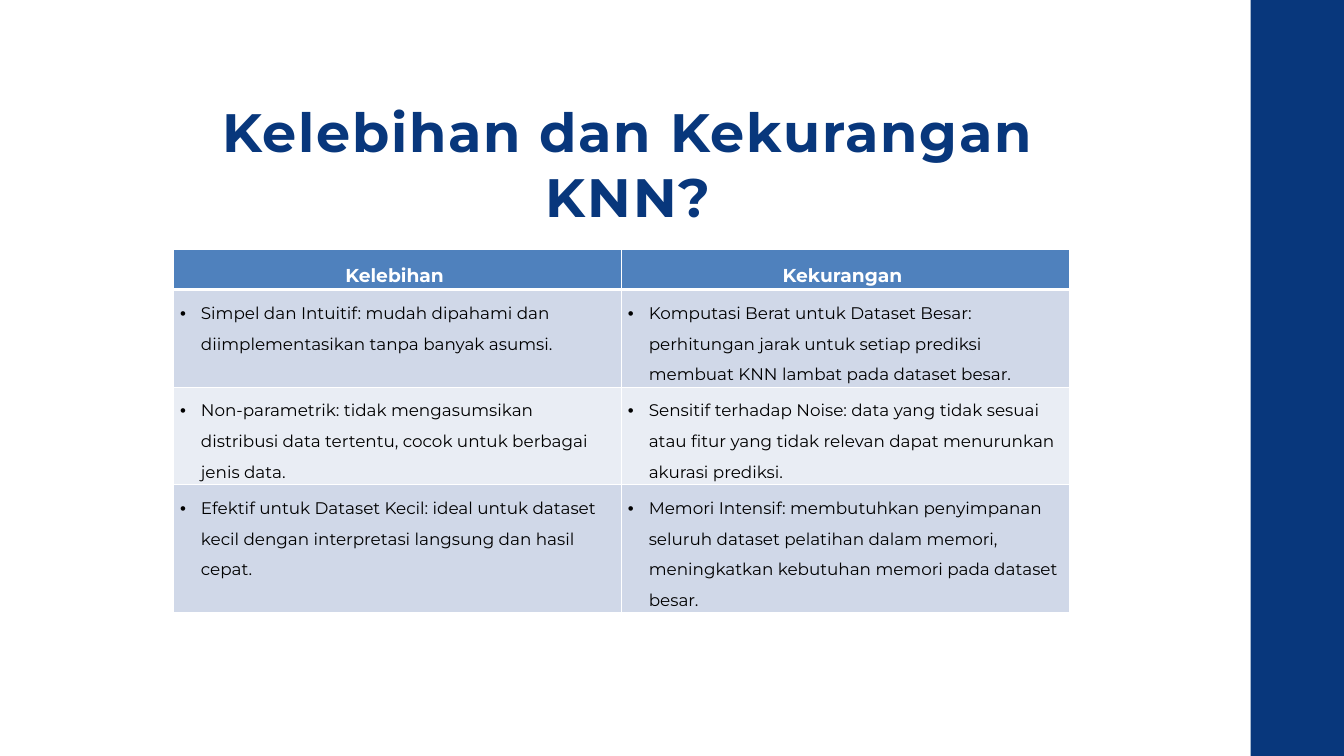
from dataclasses import dataclass

from lxml.etree import SubElement
from pptx import Presentation
from pptx.dml.color import RGBColor
from pptx.enum.shapes import MSO_SHAPE
from pptx.enum.text import MSO_ANCHOR, MSO_AUTO_SIZE, PP_ALIGN
from pptx.oxml.ns import qn
from pptx.slide import Slide
from pptx.table import _Cell
from pptx.util import Inches, Pt

FONT = "Montserrat"
COLORS = {
    "navy": "08377C",
    "blue": "4F81BD",
    "dark": "D0D8E8",
    "light": "E9EDF4",
    "white": "FFFFFF",
    "black": "000000",
}


@dataclass
class Row:
    pros: str
    cons: str
    fill: str
    height: float
    head: bool = False


ROWS = [
    Row("Kelebihan ", "Kekurangan ", "blue", 0.59, True),
    Row(
        "Simpel dan Intuitif: mudah dipahami dan diimplementasikan tanpa banyak asumsi.",
        "Komputasi Berat untuk Dataset Besar: perhitungan jarak untuk setiap prediksi "
        "membuat KNN lambat pada dataset besar.",
        "dark", 1.44,
    ),
    Row(
        "Non-parametrik: tidak mengasumsikan distribusi data tertentu, "
        "cocok untuk berbagai jenis data.",
        "Sensitif terhadap Noise: data yang tidak sesuai atau fitur yang tidak relevan "
        "dapat menurunkan akurasi prediksi.",
        "light", 1.44,
    ),
    Row(
        "Efektif untuk Dataset Kecil: ideal untuk dataset kecil dengan interpretasi "
        "langsung dan hasil cepat.",
        "Memori Intensif: membutuhkan penyimpanan seluruh dataset pelatihan dalam memori, "
        "meningkatkan kebutuhan memori pada dataset besar.",
        "dark", 1.89,
    ),
]


def color(name: str) -> RGBColor:
    return RGBColor.from_string(COLORS[name])


def add_bar(slide: Slide) -> None:
    bar = slide.shapes.add_shape(
        MSO_SHAPE.RECTANGLE, Inches(18.61), 0, Inches(1.39), Inches(11.25)
    )
    bar.shadow.inherit = False
    bar.fill.solid()
    bar.fill.fore_color.rgb = color("navy")
    bar.line.fill.background()


def set_title(slide: Slide) -> None:
    title = slide.shapes.title
    title.left, title.top = Inches(3.08), Inches(1.46)
    title.width, title.height = Inches(12.54), Inches(1.96)
    frame = title.text_frame
    frame.margin_left = frame.margin_right = 0
    frame.margin_top = frame.margin_bottom = 0
    frame.vertical_anchor = MSO_ANCHOR.TOP
    frame.word_wrap = True
    frame.auto_size = MSO_AUTO_SIZE.SHAPE_TO_FIT_TEXT
    frame.text = "Kelebihan dan Kekurangan KNN?"
    para = frame.paragraphs[0]
    para.alignment = PP_ALIGN.CENTER
    para.line_spacing = Pt(69.5)
    para.space_before = Pt(0)
    font = para.font
    font.name, font.size, font.bold = FONT, Pt(57.9), True
    font.color.rgb = color("navy")
    para.runs[0]._r.get_or_add_rPr().set("spc", "190")


def add_edges(cell: _Cell, head: bool) -> None:
    props = cell._tc.get_or_add_tcPr()
    for side in "LRTB":
        width = 3 if head and side == "B" else 1
        edge = SubElement(props, qn(f"a:ln{side}"), w=str(Pt(width)))
        fill = SubElement(edge, qn("a:solidFill"))
        SubElement(fill, qn("a:srgbClr"), val=COLORS["white"])


def fill_cell(cell: _Cell, text: str, row: Row) -> None:
    add_edges(cell, row.head)
    cell.fill.solid()
    cell.fill.fore_color.rgb = color(row.fill)
    cell.text = text
    para = cell.text_frame.paragraphs[0]
    para.line_spacing = 1.5
    if row.head:
        para.alignment = PP_ALIGN.CENTER
    else:
        props = para._p.get_or_add_pPr()
        props.set("marL", str(Inches(0.31)))
        props.set("indent", str(Inches(-0.31)))
        SubElement(props, qn("a:buFont"), typeface="Arial")
        SubElement(props, qn("a:buChar"), char="•")
    font = para.font
    font.name, font.size = FONT, Pt(20 if row.head else 18)
    font.bold = row.head
    font.color.rgb = color("white" if row.head else "black")


def add_grid(slide: Slide) -> None:
    height = sum(row.height for row in ROWS)
    table = slide.shapes.add_table(
        len(ROWS), 2, Inches(2.58), Inches(3.71), Inches(13.33), Inches(height)
    ).table
    for line, row in zip(table.rows, ROWS):
        line.height = Inches(row.height)
        for cell, text in zip(line.cells, (row.pros, row.cons)):
            fill_cell(cell, text, row)


def main() -> None:
    deck = Presentation()
    deck.slide_width, deck.slide_height = Inches(20), Inches(11.25)
    slide = deck.slides.add_slide(deck.slide_layouts[5])
    add_bar(slide)
    set_title(slide)
    add_grid(slide)
    deck.save("out.pptx")


if __name__ == "__main__":
    main()
